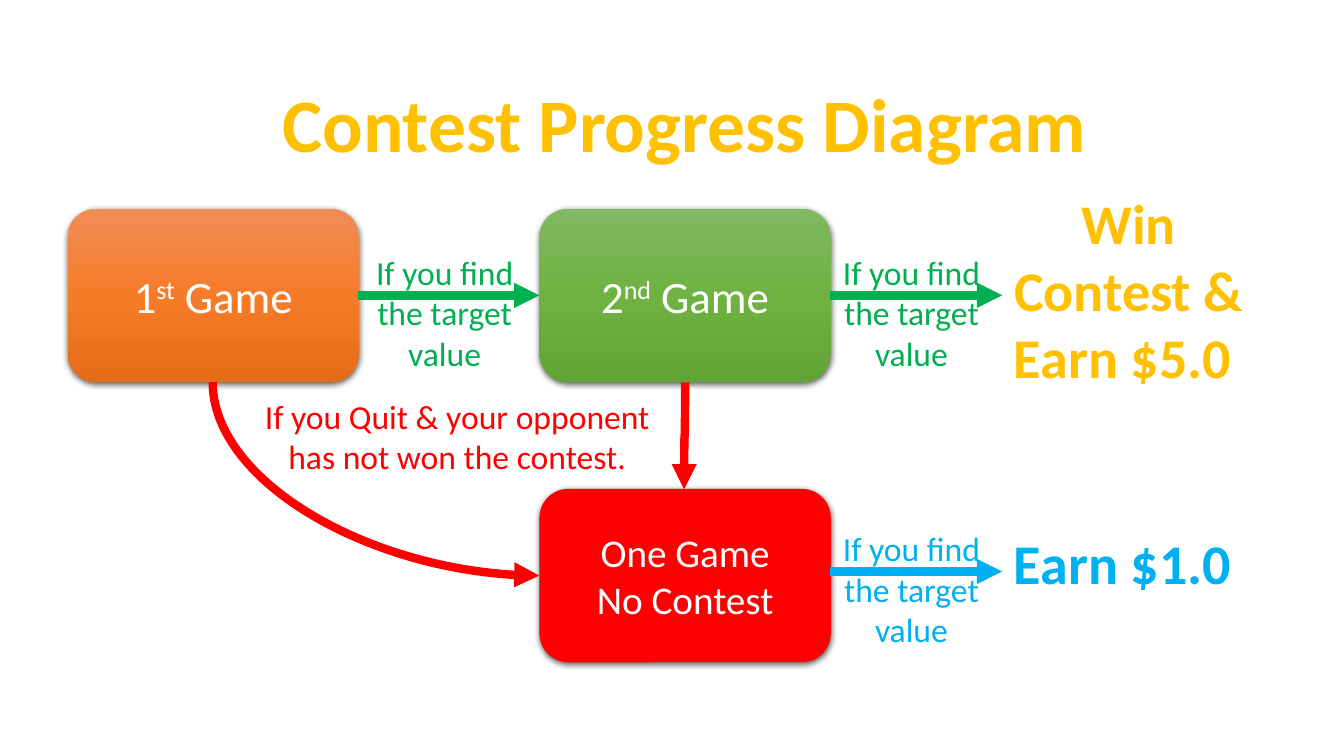
"""Build the contest progress diagram slide."""
from dataclasses import dataclass

from lxml import etree
from pptx import Presentation
from pptx.dml.color import RGBColor
from pptx.enum.shapes import MSO_CONNECTOR, MSO_SHAPE
from pptx.enum.text import MSO_ANCHOR, MSO_AUTO_SIZE, PP_ALIGN
from pptx.oxml.ns import qn
from pptx.util import Inches, Pt

ROUND = MSO_SHAPE.ROUNDED_RECTANGLE
LINE, CURVE = MSO_CONNECTOR.STRAIGHT, MSO_CONNECTOR.CURVE
MIDDLE, CENTER = MSO_ANCHOR.MIDDLE, PP_ALIGN.CENTER
GROW = MSO_AUTO_SIZE.SHAPE_TO_FIT_TEXT

WHITE, GOLD, ORANGE = "FFFFFF", "FFC000", "ED7D31"
GREEN, RED, BLUE = "00B050", "FF0000", "00B0F0"
BOX_W, BOX_H = 2.89, 1.72
LEFT, MID, TOP, LOW = 0.67, 5.35, 2.07, 4.85
HINT = "If you find\nthe target value"


@dataclass
class Box:
    x: float
    y: float
    text: str
    size: int
    fill: tuple[str, ...]


@dataclass
class Arrow:
    start: tuple[float, float]
    end: tuple[float, float]
    color: str
    kind: int = LINE
    turn: int = 0
    preset: str = ""


@dataclass
class Note:
    x: float
    y: float
    w: float
    h: float
    text: str
    size: int
    color: str
    bold: bool = False
    wrap: bool = True
    edge: str = ""


BOXES = [
    Box(LEFT, TOP, "1^st^ Game", 32, ("F18C57", "F67B28", "E56C19")),
    Box(MID, TOP, "2^nd^ Game", 32, ("81B861", "6FB242", "62A336")),
    Box(MID, LOW, "One Game\nNo Contest", 28, (RED,)),
]
ARROWS = [
    Arrow((3.55, 2.93), (5.35, 2.93), GREEN),
    Arrow((8.23, 2.93), (9.94, 2.93), GREEN),
    Arrow((8.23, 5.67), (9.94, 5.67), BLUE),
    Arrow((4.69, 3.13), (2.77, 6.37), RED, CURVE, 270, "curvedConnector2"),
    Arrow((6.26, 4.32), (7.32, 4.33), RED, CURVE, 90),
]
NOTES = [
    Note(9.68, 1.82, 3.03, 2.12, "Win\nContest & Earn $5.0 ", 40, GOLD, True),
    Note(2.66, 0.71, 8.26, 1.01, "Contest Progress Diagram", 54, GOLD, True, False, ORANGE),
    Note(3.29, 2.45, 2.24, 1.31, HINT, 24, GREEN),
    Note(7.92, 2.45, 2.24, 1.31, HINT, 24, GREEN),
    Note(7.92, 5.19, 2.24, 1.31, HINT, 24, BLUE),
    Note(1.95, 3.88, 5.17, 0.91, "If you Quit & your opponent\nhas not won the contest.", 24, RED),
    Note(9.68, 5.19, 3.03, 0.77, "Earn $1.0 ", 40, BLUE, True),
]


def paint(code: str) -> RGBColor:
    return RGBColor.from_string(code)


def add_tag(parent, name: str, **values):
    return etree.SubElement(parent, qn(name), {k: str(v) for k, v in values.items()})


def write(frame, text: str, size: int, color: str, bold: bool = False, edge: str = "") -> None:
    style = {"name": "Calibri", "size": Pt(size), "bold": bold}
    for i, row in enumerate(text.split("\n")):
        para = frame.paragraphs[0] if i == 0 else frame.add_paragraph()
        para.alignment = CENTER
        for j, part in enumerate(row.split("^")):
            run = para.add_run()
            run.text = part
            for key, value in style.items():
                setattr(run.font, key, value)
            run.font.color.rgb = paint(color)
            props = run._r.get_or_add_rPr()
            if j % 2:
                props.set("baseline", "30000")
            if edge:
                line = add_tag(props, "a:ln", w=Pt(0.52))
                add_tag(add_tag(line, "a:solidFill"), "a:srgbClr", val=edge)
                props.insert(0, line)


def shade(shape, fill: tuple[str, ...]) -> None:
    if len(fill) == 1:
        shape.fill.solid()
        shape.fill.fore_color.rgb = paint(fill[0])
        return
    shape.fill.gradient()
    shape.fill.gradient_angle = 270
    stops = shape._element.spPr.find(".//" + qn("a:gsLst"))
    stops.clear()
    for i, code in enumerate(fill):
        stop = add_tag(stops, "a:gs", pos=100000 * i // (len(fill) - 1))
        add_tag(stop, "a:srgbClr", val=code)


def add_box(shapes, box: Box) -> None:
    shape = shapes.add_shape(ROUND, *map(Inches, (box.x, box.y, BOX_W, BOX_H)))
    shade(shape, box.fill)
    shape.line.fill.background()
    shape.shadow.inherit = False
    glow = add_tag(shape._element.spPr.find(qn("a:effectLst")), "a:outerShdw",
                   blurRad=Pt(4.5), dist=Pt(1.5), dir=5400000, algn="ctr", rotWithShape=0)
    add_tag(add_tag(glow, "a:srgbClr", val="000000"), "a:alpha", val=63000)
    shape.text_frame.vertical_anchor = MIDDLE
    write(shape.text_frame, box.text, box.size, WHITE)


def add_arrow(shapes, arrow: Arrow) -> None:
    link = shapes.add_connector(arrow.kind, *map(Inches, arrow.start + arrow.end))
    link.line.color.rgb = paint(arrow.color)
    link.line.width = Pt(6)
    props = link._element.spPr
    add_tag(props.find(qn("a:ln")), "a:tailEnd", type="triangle")
    add_tag(props, "a:effectLst")
    if arrow.turn:
        props.find(qn("a:xfrm")).set("rot", str(arrow.turn * 60000))
    if arrow.preset:
        props.find(qn("a:prstGeom")).set("prst", arrow.preset)


def add_note(shapes, note: Note) -> None:
    box = shapes.add_textbox(*map(Inches, (note.x, note.y, note.w, note.h)))
    frame = box.text_frame
    for key, value in {"word_wrap": note.wrap, "auto_size": GROW}.items():
        setattr(frame, key, value)
    write(frame, note.text, note.size, note.color, note.bold, note.edge)


def main() -> None:
    deck = Presentation()
    deck.slide_width, deck.slide_height = Inches(13.33), Inches(7.5)
    shapes = deck.slides.add_slide(deck.slide_layouts[6]).shapes
    for box in BOXES:
        add_box(shapes, box)
    for arrow in ARROWS:
        add_arrow(shapes, arrow)
    for note in NOTES:
        add_note(shapes, note)
    deck.save("out.pptx")


if __name__ == "__main__":
    main()
